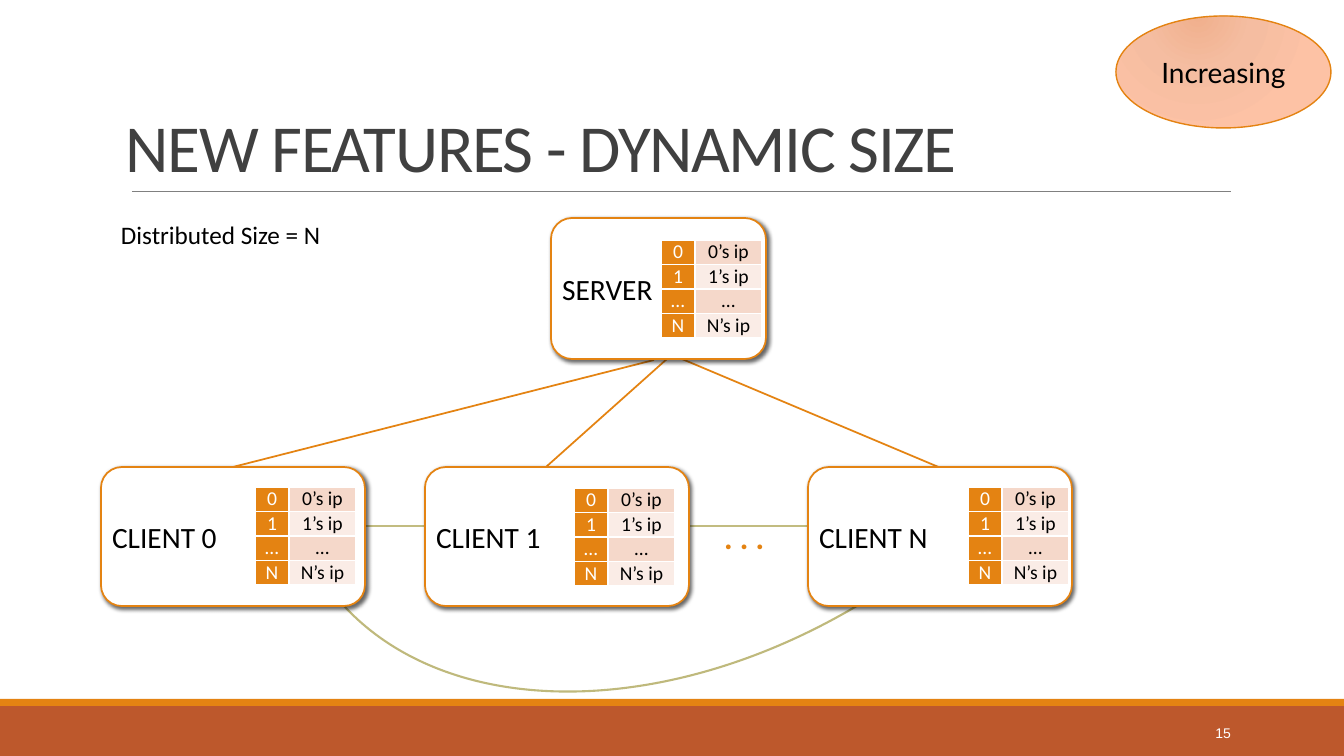
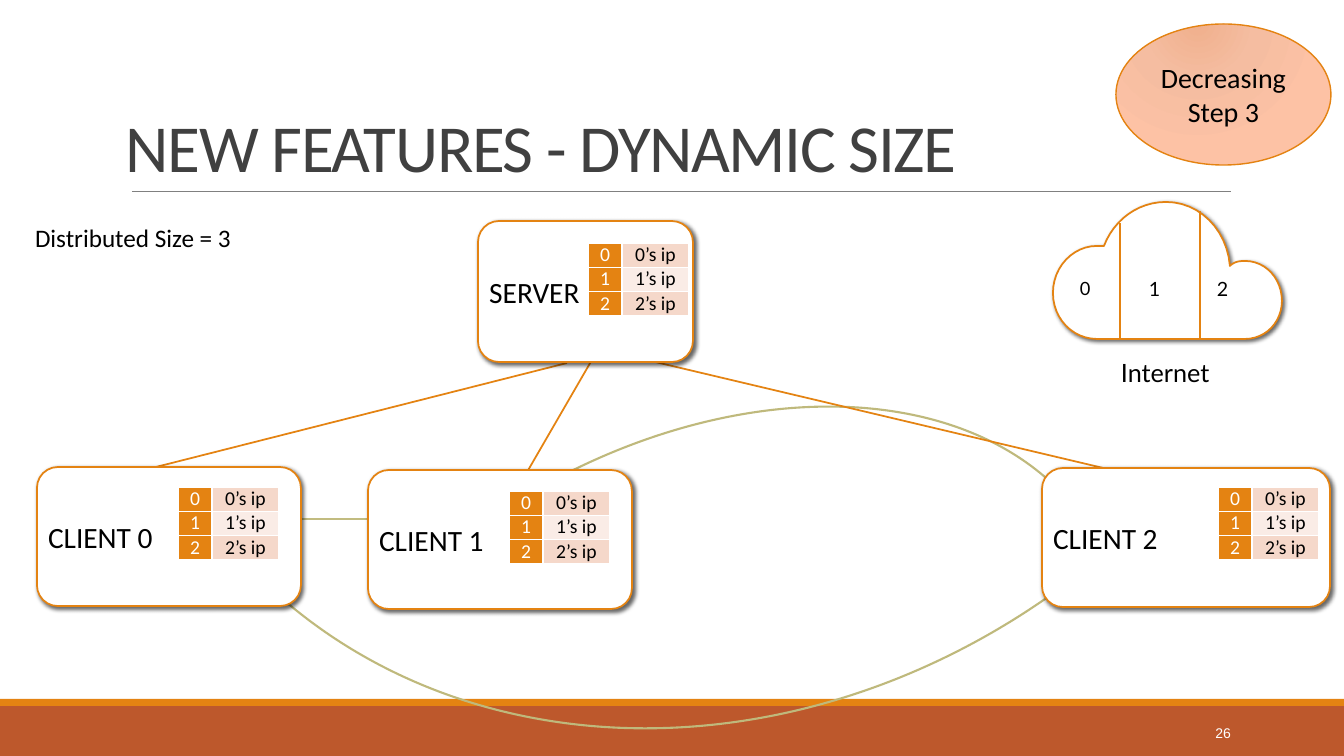
from lxml import etree
from pptx import Presentation
from pptx.dml.color import RGBColor
from pptx.enum.shapes import MSO_CONNECTOR, MSO_SHAPE
from pptx.enum.text import MSO_ANCHOR, MSO_AUTO_SIZE, PP_ALIGN
from pptx.oxml import parse_xml
from pptx.oxml.ns import nsdecls, qn
from pptx.util import Pt

STRAIGHT = MSO_CONNECTOR.STRAIGHT
RECT, ROUND = MSO_SHAPE.RECTANGLE, MSO_SHAPE.ROUNDED_RECTANGLE
OVAL, ARC = MSO_SHAPE.OVAL, MSO_SHAPE.ARC
TOP, MIDDLE, BOTTOM = MSO_ANCHOR.TOP, MSO_ANCHOR.MIDDLE, MSO_ANCHOR.BOTTOM
LEFT, CENTER, RIGHT = PP_ALIGN.LEFT, PP_ALIGN.CENTER, PP_ALIGN.RIGHT
FIT, NO_FIT = MSO_AUTO_SIZE.SHAPE_TO_FIT_TEXT, MSO_AUTO_SIZE.NONE

SLIDE_W, SLIDE_H = 1344, 756
EMU_PER_PX = 12192000 / SLIDE_W
INSET = 5
COLORS = {
    "orange": "E48312", "rust": "BD582C", "rule": "808080", "title": "404040",
    "arc": "BFB97C", "peer": "C2BC80", "white": "FFFFFF", "black": "000000",
    "band_dark": "F5D8CA", "band_light": "FAECE6",
}
BADGE_STOPS = {0: "F0B08D", 45: "F5BDA1", 100: "FDC2A5"}
CLOUD_START = (113, 0)
CLOUD_CURVES = [
    ((85, 0), (61, 18), (51, 44)),
    ((49, 44), (46, 44), (44, 44)),
    ((20, 44), (0, 65), (0, 91)),
    ((0, 117), (20, 137), (44, 137)),
    ((93, 137), (142, 137), (192, 137)),
    ((213, 137), (229, 120), (229, 99)),
    ((229, 77), (213, 59), (192, 59)),
    ((186, 59), (181, 60), (177, 64)),
    ((174, 27), (146, 0), (113, 0)),
]


def px(*values):
    """Turn pixel lengths into EMU."""
    return [round(v * EMU_PER_PX) for v in values]


def rgb(name):
    """Return a palette colour."""
    return RGBColor.from_string(COLORS[name])


def assign(obj, values):
    """Set attributes from a dict."""
    for name, value in values.items():
        setattr(obj, name, value)


def write(tf, lines, size, color="black", font="Calibri", bold=False,
          align=LEFT, anchor=TOP, wrap=True, fit=NO_FIT):
    """Fill a text frame with formatted paragraphs."""
    margins = dict.fromkeys(
        ("margin_left", "margin_top", "margin_right", "margin_bottom"), px(INSET)[0])
    assign(tf, {**margins, "word_wrap": wrap, "auto_size": fit, "vertical_anchor": anchor})
    for i, line in enumerate(lines):
        p = tf.add_paragraph() if i else tf.paragraphs[0]
        p.alignment = align
        r = p.add_run()
        r.text = line
        assign(r.font, {"size": Pt(size), "name": font, "bold": bold})
        r.font.color.rgb = rgb(color)


def text(s, box, line, size, **fmt):
    """Add a text box that grows with its line."""
    tb = s.shapes.add_textbox(*px(*box))
    write(tb.text_frame, [line], size, **{"wrap": False, "fit": FIT, **fmt})


def paint(sp, fill=None, line=None, width=1.25):
    """Set the fill and outline of a shape and clear its shadow."""
    sp.shadow.inherit = False
    if fill:
        sp.fill.solid()
        sp.fill.fore_color.rgb = rgb(fill)
    else:
        sp.fill.background()
    if line:
        sp.line.color.rgb = rgb(line)
        sp.line.width = Pt(width)
    else:
        sp.line.fill.background()


def drop_shadow(sp):
    """Give a shape a soft shadow to the lower right."""
    sp.element.spPr.find(qn("a:effectLst")).append(parse_xml(
        f'<a:outerShdw {nsdecls("a")} blurRad="38100" dist="25400" dir="2700000" '
        f'algn="tl" rotWithShape="0"><a:srgbClr val="{COLORS["black"]}">'
        '<a:alpha val="60000"/></a:srgbClr></a:outerShdw>'))


def link(s, x1, y1, x2, y2, color="orange", width=1.25):
    """Add a straight connector."""
    c = s.shapes.add_connector(STRAIGHT, *px(x1, y1, x2, y2))
    c.line.color.rgb = rgb(color)
    c.line.width = Pt(width)
    etree.SubElement(c.element.spPr, qn("a:effectLst"))
    return c


def arc(s, box, rotation):
    """Add a quarter ellipse turned by an angle."""
    sp = s.shapes.add_shape(ARC, *px(*box))
    paint(sp, line="arc", width=1.5)
    sp.rotation = rotation


def frame(prs, number):
    """Add a slide with title, rule, bands and page number."""
    s = prs.slides.add_slide(prs.slide_layouts[5])
    for top, height, color in ((706, 50, "rust"), (699, 7, "orange")):
        paint(s.shapes.add_shape(RECT, *px(0, top, SLIDE_W, height)), color)
    link(s, 132, 191, 1231, 191, "rule", 0.5)
    title = s.shapes.title
    assign(title, dict(zip(("left", "top", "width", "height"), px(121, 31, 1109, 160))))
    write(title.text_frame, ["NEW FEATURES - DYNAMIC SIZE"], 48, "title", anchor=BOTTOM)
    p = title.text_frame.paragraphs[0]
    p.line_spacing = 0.85
    p.runs[0].font.element.set("spc", "-100") if hasattr(p.runs[0].font, "element") else \
        p.runs[0]._r.get_or_add_rPr().set("spc", "-100")
    text(s, (1210, 720, 26, 25), number, 10, color="white", font="Arial",
         align=RIGHT, anchor=MIDDLE)
    return s


def badge(s, box, lines, font):
    """Add the oval that names the current step."""
    sp = s.shapes.add_shape(OVAL, *px(*box))
    paint(sp, "white", "orange", 1)
    stops = "".join(f'<a:gs pos="{pos * 1000}"><a:srgbClr val="{color}"/></a:gs>'
                    for pos, color in BADGE_STOPS.items())
    spPr = sp.element.spPr
    spPr.replace(spPr.find(qn("a:solidFill")), parse_xml(
        f'<a:gradFill {nsdecls("a")} rotWithShape="1"><a:gsLst>{stops}</a:gsLst>'
        '<a:path path="circle"><a:fillToRect l="38000" t="-20000" r="62000" b="120000"/>'
        '</a:path></a:gradFill>'))
    write(sp.text_frame, lines, 20, font=font, align=CENTER, anchor=MIDDLE)


def fill_cell(cell, line, color, fill):
    """Format one table cell with white borders."""
    write(cell.text_frame, [line], 14, color, align=CENTER)
    assign(cell, dict.fromkeys(
        ("margin_left", "margin_top", "margin_right", "margin_bottom"), 0))
    cell.fill.solid()
    cell.fill.fore_color.rgb = rgb(fill)
    tcPr = cell._tc.get_or_add_tcPr()
    for i, side in enumerate("LRTB"):
        tcPr.insert(i, parse_xml(
            f'<a:ln{side} {nsdecls("a")} w="12700"><a:solidFill>'
            f'<a:srgbClr val="{COLORS["white"]}"/></a:solidFill></a:ln{side}>'))


def ip_table(s, x, y, ranks):
    """Add the table of ranks and addresses."""
    n = len(ranks)
    table = s.shapes.add_table(n, 2, *px(x, y, 101, 98 * n // 4)).table
    assign(table, {"first_row": False, "horz_banding": False})
    for column, width in zip(table.columns, px(34, 67)):
        column.width = width
    for i, rank in enumerate(ranks):
        address = rank if rank == "…" else f"{rank}’s ip"
        fill_cell(table.cell(i, 0), rank, "white", "orange")
        fill_cell(table.cell(i, 1), address, "black", "band_light" if i % 2 else "band_dark")


def node(s, box, label, ranks, dx, dy):
    """Add a named machine with its table at an offset."""
    x, y, w, h = box
    sp = s.shapes.add_shape(ROUND, *px(x, y, w, h))
    sp.adjustments[0] = 0.15
    paint(sp, "white", "orange")
    drop_shadow(sp)
    write(sp.text_frame, [label], 21, anchor=MIDDLE)
    ip_table(s, x + dx, y + dy, ranks)
    return sp


def cloud_points(x, y, steps=12):
    """Sample the cubic curves of the cloud outline."""
    points, start = [], CLOUD_START
    for a, b, end in CLOUD_CURVES:
        for k in range(1, steps + 1):
            t = k / steps
            u = 1 - t
            cx, cy = (u ** 3 * p0 + 3 * u * u * t * p1 + 3 * u * t * t * p2 + t ** 3 * p3
                      for p0, p1, p2, p3 in zip(start, a, b, end))
            points.append(px(x + cx, y + cy))
        start = end
    return points


def internet(s, x, y):
    """Add the cloud with its three parts and caption."""
    fb = s.shapes.build_freeform(*px(x + CLOUD_START[0], y + CLOUD_START[1]))
    fb.add_line_segments(cloud_points(x, y), close=True)
    sp = fb.convert_to_shape()
    paint(sp, "white", "orange")
    drop_shadow(sp)
    for dx, top in ((67, 21), (147, 9)):
        link(s, x + dx, y + 138, x + dx, y + top)
    for dx, label, size in ((22, "0", 13), (91, "1", 14), (159, "2", 14)):
        text(s, (x + dx, y + 70, 22, 34), label, size, font="Lato")
    text(s, (x + 63, y + 150, 104, 41), "Internet", 18, font="Lato")


def increasing_slide(prs):
    """Build the slide with N clients."""
    s = frame(prs, "15")
    ranks = "01…N"
    arc(s, (242, -7, 938, 646), 145.7)
    link(s, 942, 526, 235, 526, "peer")
    link(s, 986, 487, 682, 359)
    link(s, 546, 467, 686, 342)
    client = node(s, (101, 467, 264, 139), "CLIENT 0", ranks, 154, 20)
    link(s, 233, 467, 654, 360).begin_connect(client, 0)
    node(s, (425, 467, 264, 139), "CLIENT 1", ranks, 149, 21)
    node(s, (808, 467, 264, 139), "CLIENT N", ranks, 160, 20)
    node(s, (551, 218, 215, 141), "SERVER", ranks, 110, 22)
    text(s, (719, 512, 76, 48), ". . .", 23, color="orange", bold=True, wrap=True)
    text(s, (116, 214, 234, 39), "Distributed Size = N", 18)
    badge(s, (1116, 16, 215, 112), ["Increasing"], "Lato")


def decreasing_slide(prs):
    """Build the slide with three clients and the cloud."""
    s = frame(prs, "26")
    ranks = "012"
    arc(s, (68, -466, 1332, 1154), 138.7)
    arc(s, (221, 451, 938, 646), 329)
    link(s, 243, 519, 368, 519, "peer", 1.5)
    for ends in ((1154, 480, 613, 352), (519, 486, 600, 346), (148, 469, 567, 363)):
        link(s, *ends)
    node(s, (37, 467, 264, 139), "CLIENT 0", ranks, 141, 20)
    node(s, (368, 470, 264, 139), "CLIENT 1", ranks, 141, 21)
    node(s, (1042, 468, 288, 139), "CLIENT 2", ranks, 176, 19)
    node(s, (478, 221, 215, 141), "SERVER", ranks, 110, 22)
    text(s, (30, 217, 231, 39), "Distributed Size = 3", 18)
    badge(s, (1116, 24, 215, 141), ["Decreasing", "Step 3"], "Calibri")
    internet(s, 1053, 202)


def main():
    """Build and save the presentation."""
    prs = Presentation()
    prs.slide_width, prs.slide_height = px(SLIDE_W, SLIDE_H)
    increasing_slide(prs)
    decreasing_slide(prs)
    prs.save("out.pptx")


if __name__ == "__main__":
    main()
